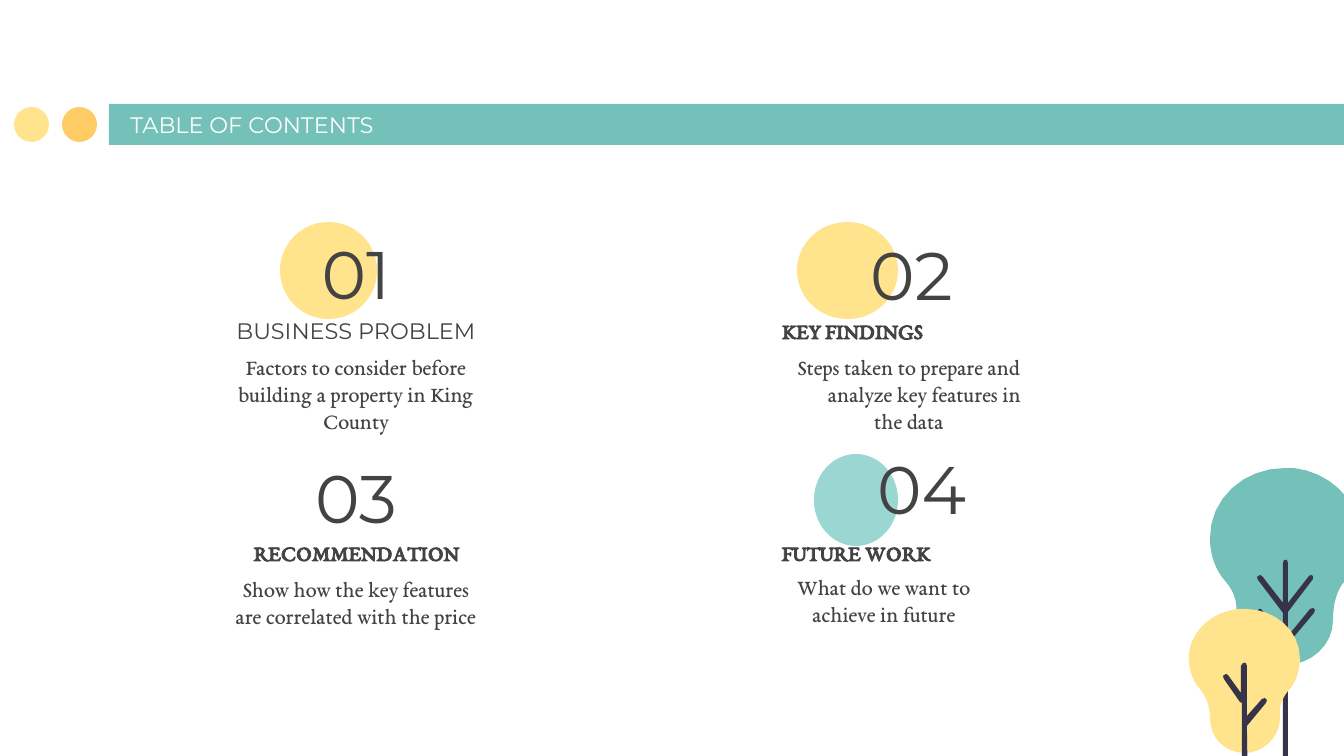
from pptx import Presentation, util as u
from pptx.dml.color import RGBColor
from pptx.enum import shapes, text
from pptx.oxml.ns import qn
from lxml import etree

PX = 914400 / 134.4
TEAL = RGBColor(0x74, 0xC1, 0xB9)
LIGHT_TEAL = RGBColor(0x9A, 0xD7, 0xD2)
YELLOW = RGBColor(0xFF, 0xE4, 0x8D)
ORANGE = RGBColor(0xFF, 0xCB, 0x64)
NAVY = RGBColor(0x37, 0x34, 0x49)
GRAY = RGBColor(0x43, 0x43, 0x43)
WHITE = RGBColor(0xFF, 0xFF, 0xFF)
SANS, SERIF = "Montserrat", "EB Garamond"
CENTER, LEFT = text.PP_ALIGN.CENTER, text.PP_ALIGN.LEFT
TOP, MIDDLE, BOTTOM = text.MSO_ANCHOR.TOP, text.MSO_ANCHOR.MIDDLE, text.MSO_ANCHOR.BOTTOM


def write(sp, lines, box, size=12, font=SERIF, color=GRAY, bold=False,
          align=CENTER, anchor=TOP, indents=(0,)):
    sp.left, sp.top, sp.width, sp.height = [round(v * PX) for v in box]
    tf = sp.text_frame
    tf.word_wrap = True
    tf.auto_size = text.MSO_AUTO_SIZE.NONE
    tf.vertical_anchor = anchor
    tf.margin_left = tf.margin_right = tf.margin_top = tf.margin_bottom = u.Inches(0.1)
    tf.text = lines
    for p, indent in zip(tf.paragraphs, indents):
        p.alignment = align
        p.line_spacing = 1.0
        p.space_before = p.space_after = u.Pt(0)
        pPr = p._p.get_or_add_pPr()
        pPr.set("marL", str(round(indent * PX)))
        pPr.set("indent", "0")
        etree.SubElement(pPr, qn("a:buNone"))
        r = p.runs[0]
        r.font.size, r.font.name, r.font.bold = u.Pt(size), font, bold
        r.font.color.rgb = color


def paint(sp, color):
    sp.shadow.inherit = False
    sp.fill.solid()
    sp.fill.fore_color.rgb = color
    sp.line.fill.background()


prs = Presentation()
prs.slide_width, prs.slide_height = round(1344 * PX), round(756 * PX)
s = prs.slides.add_slide(prs.slide_layouts[4])
title, *bodies = s.placeholders

OVAL, RECT = shapes.MSO_SHAPE.OVAL, shapes.MSO_SHAPE.RECTANGLE
for kind, box, color in [
    (RECT, (109, 104, 1277, 41), TEAL),
    (OVAL, (62, 107, 35, 35), ORANGE),
    (OVAL, (14, 107, 35, 35), YELLOW),
    (OVAL, (797, 222, 101, 97), YELLOW),
    (OVAL, (280, 222, 97, 97), YELLOW),
    (OVAL, (814, 454, 84, 92), LIGHT_TEAL),
]:
    paint(s.shapes.add_shape(kind, *[round(v * PX) for v in box]), color)

for sp in (title, *bodies):
    s.shapes.element.append(sp.element)
write(title, "TABLE OF CONTENTS", (117, 106, 737, 46),
      font=SANS, color=WHITE, align=LEFT, anchor=BOTTOM)

topics = [
    ("01", (227, 230, 258, 85),
     "BUSINESS PROBLEM", (180, 273, 352, 85), SANS,
     "Factors to consider before building a property in King County", (216, 340, 280, 90), (0,)),
    ("02", (704, 231, 415, 85),
     "KEY FINDINGS", (596, 318, 513, 39), SERIF,
     "Steps taken to prepare and\nanalyze key features in\nthe data", (782, 340, 254, 90), (0, 31, 0)),
    ("03", (227, 454, 258, 85),
     "RECOMMENDATION", (186, 494, 341, 85), SERIF,
     "Show how the key features are correlated with the price", (216, 562, 280, 90), (0,)),
    ("04", (544, 436, 755, 103),
     "FUTURE WORK", (625, 532, 462, 47), SERIF,
     "What do we want to achieve in future", (782, 560, 204, 126), (0,)),
]
for body, topic in zip(bodies, topics):
    number, number_box, heading, heading_box, heading_font, detail, detail_box, indents = topic
    write(s.shapes.add_textbox(0, 0, 0, 0), number, number_box,
          size=36, font=SANS, anchor=MIDDLE)
    write(s.shapes.add_textbox(0, 0, 0, 0), heading, heading_box,
          font=heading_font, bold=heading_font == SERIF, anchor=BOTTOM)
    write(body, detail, detail_box, indents=indents)

trees = [
    (TEAL, (1285, 468), [
        (1243, 468, 1210, 499, 1210, 538), (1210, 554, 1215, 570, 1226, 582),
        (1234, 591, 1238, 603, 1236, 616), (1236, 617, 1236, 620, 1236, 622),
        (1236, 646, 1259, 665, 1285, 665), (1311, 665, 1333, 645, 1333, 621),
        (1333, 603, 1337, 590, 1345, 581), (1357, 566, 1363, 547, 1360, 530),
        (1356, 497, 1328, 472, 1294, 468), (1290, 468, 1288, 468, 1285, 468)],
     [(1287, 560), (1284, 560), (1283, 563), (1283, 603), (1262, 576), (1260, 575),
      (1257, 577), (1258, 580), (1283, 613), (1283, 636), (1261, 609), (1259, 609),
      (1256, 613), (1283, 644), (1283, 785), (1285, 788), (1288, 785), (1288, 644),
      (1314, 613), (1315, 610), (1313, 608), (1310, 609), (1288, 636), (1288, 612),
      (1313, 579), (1313, 576), (1311, 575), (1309, 576), (1288, 603), (1288, 563)]),
    (YELLOW, (1245, 609), [
        (1242, 609, 1241, 609, 1238, 609), (1212, 612, 1192, 630, 1189, 653),
        (1188, 667, 1192, 680, 1200, 689), (1207, 698, 1210, 707, 1210, 718),
        (1210, 738, 1225, 753, 1245, 753), (1263, 753, 1279, 738, 1280, 720),
        (1280, 719, 1280, 717, 1280, 715), (1279, 707, 1282, 699, 1288, 691),
        (1296, 683, 1300, 671, 1300, 659), (1300, 630, 1275, 609, 1245, 609)],
     [(1246, 663), (1243, 663), (1241, 666), (1241, 693), (1228, 675), (1226, 674),
      (1223, 676), (1224, 679), (1240, 702), (1242, 703), (1242, 797), (1245, 800),
      (1248, 797), (1247, 726), (1266, 703), (1267, 700), (1265, 698), (1262, 699),
      (1247, 716), (1247, 666)]),
]
STEPS = 8
for color, start, curves, trunk in trees:
    crown = [start]
    for x1, y1, x2, y2, x3, y3 in curves:
        x0, y0 = crown[-1]
        for i in range(1, STEPS + 1):
            t = i / STEPS
            a, b, c, d = (1 - t) ** 3, 3 * t * (1 - t) ** 2, 3 * t * t * (1 - t), t ** 3
            crown.append((a * x0 + b * x1 + c * x2 + d * x3,
                          a * y0 + b * y1 + c * y2 + d * y3))
    tree = s.shapes.add_group_shape()
    for outline, fill in [(crown, color), (trunk, NAVY)]:
        points = [(round(x * PX), round(y * PX)) for x, y in outline]
        fb = tree.shapes.build_freeform(*points[0])
        fb.add_line_segments(points[1:])
        paint(fb.convert_to_shape(), fill)

prs.save("out.pptx")
